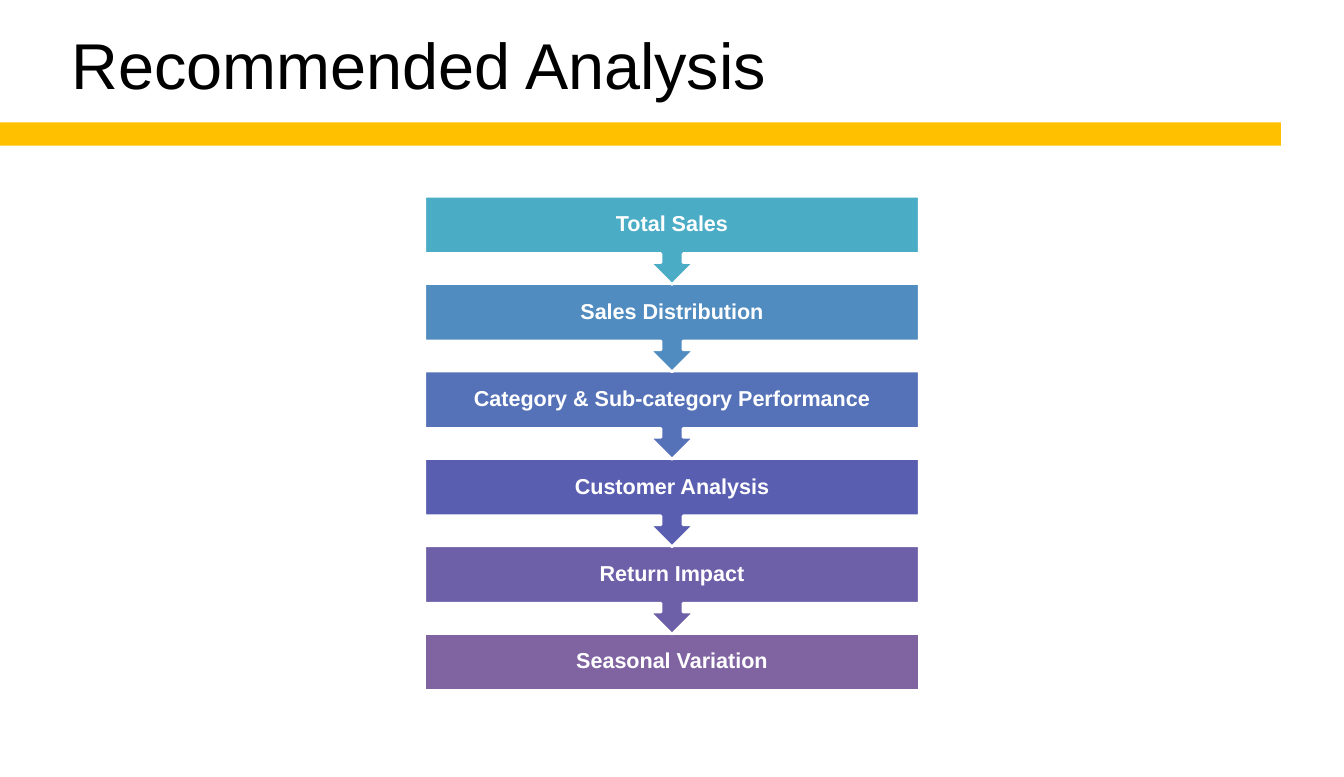
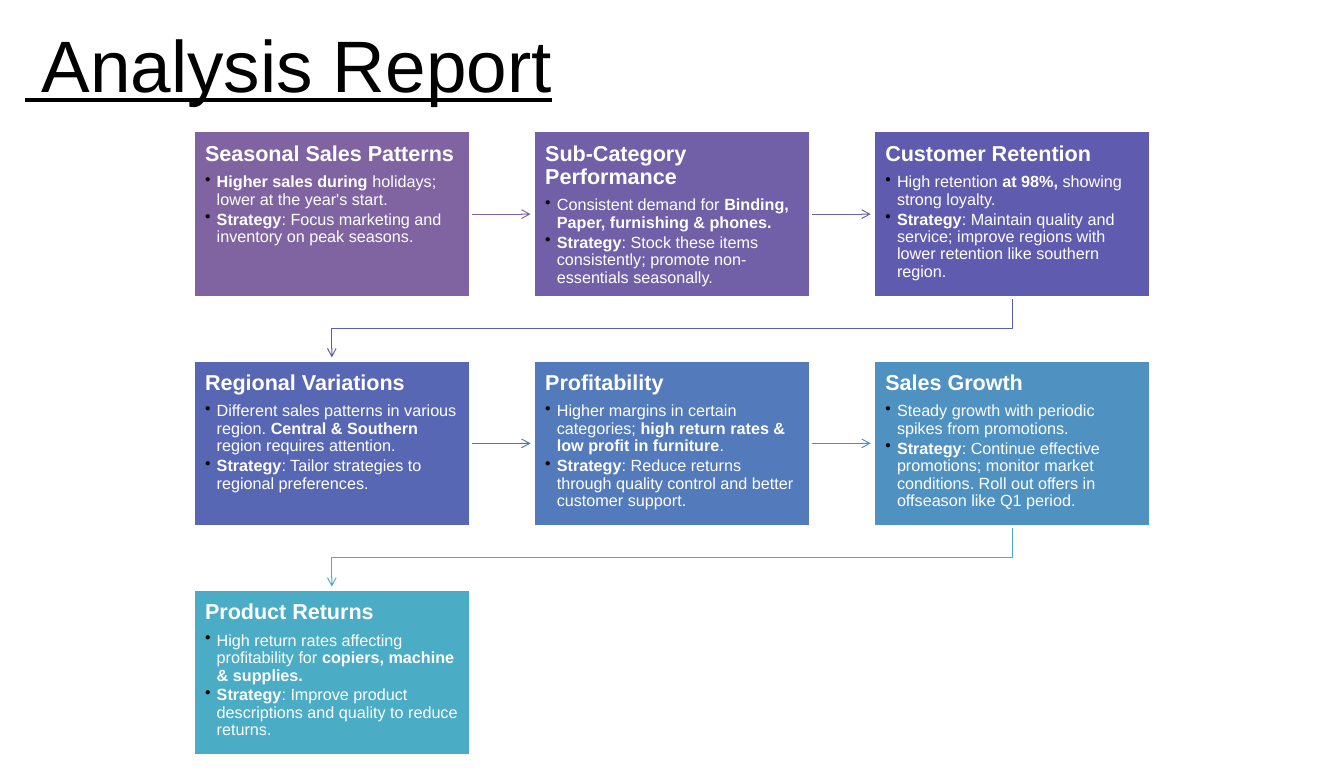
"""Build the recommended analysis and analysis report slides."""
from lxml import etree
from pptx import Presentation, util as u
from pptx.dml.color import RGBColor
from pptx.enum import shapes, text
from pptx.oxml.ns import qn

COLORS = {
    "white": "FFFFFF", "black": "000000", "band": "FFC000",
    "teal": "4BACC6", "blue": "508CBF", "royal": "5572B8",
    "indigo": "5A5EB1", "violet": "6E5FA9", "purple": "8064A2",
    "plum": "7160A8", "iris": "5F5BAE", "cobalt": "5767B4",
    "steel": "537ABA", "azure": "4F91C0",
}
FONT = "Arial"
INSET = u.Inches(0.12)
FRAME = dict(word_wrap=True, margin_left=INSET, margin_right=INSET,
             margin_top=INSET, margin_bottom=INSET)
TITLE_FRAME = dict(word_wrap=True, margin_left=0, margin_right=0,
                   margin_top=u.Inches(0.01), margin_bottom=0,
                   auto_size=text.MSO_AUTO_SIZE.SHAPE_TO_FIT_TEXT)
HEADING = dict(line_spacing=0.9, space_after=u.Pt(5.6))
BULLET = dict(level=1, line_spacing=0.9, space_after=u.Pt(1.8))

STEPS = [
    ("Total Sales", "teal"), ("Sales Distribution", "blue"),
    ("Category & Sub-category Performance", "royal"),
    ("Customer Analysis", "indigo"), ("Return Impact", "violet"),
    ("Seasonal Variation", "purple"),
]
STEP_X, STEP_Y, STEP_W, STEP_PITCH = 4.37, 2.02, 5.09, 0.9
BOX_H, CALLOUT_H = 0.59, 0.91

CARDS = [
    ("Seasonal Sales Patterns", "purple",
     "**Higher sales during **holidays; lower at the year's start.",
     "Focus marketing and inventory on peak seasons."),
    ("Sub-Category Performance", "plum",
     "Consistent demand for **Binding, Paper, furnishing & phones.**",
     "Stock these items consistently; promote non-essentials seasonally."),
    ("Customer Retention", "iris",
     "High retention **at 98%, **showing strong loyalty.",
     "Maintain quality and service; improve regions with lower retention "
     "like southern region."),
    ("Regional Variations", "cobalt",
     "Different sales patterns in various region. **Central & Southern "
     "**region requires attention.",
     "Tailor strategies to regional preferences."),
    ("Profitability", "steel",
     "Higher margins in certain categories; **high return rates & low "
     "profit in furniture**.",
     "Reduce returns through quality control and better customer support."),
    ("Sales Growth", "azure",
     "Steady growth with periodic spikes from promotions.",
     "Continue effective promotions; monitor market conditions. Roll out "
     "offers in offseason like Q1 period."),
    ("Product Returns", "teal",
     "High return rates affecting profitability for **copiers, machine & "
     "supplies.**",
     "Improve product descriptions and quality to reduce returns."),
]
LINKS = ["purple", "violet", "indigo", "royal", "blue", "teal"]
COLUMNS = 3
CARD_X, CARD_Y, CARD_W, CARD_H = 1.99, 1.35, 2.85, 1.71
COL_PITCH, ROW_PITCH, LINK = 3.5, 2.36, 0.62


def rgb(name):
    return RGBColor.from_string(COLORS[name])


def inches(*values):
    return [u.Inches(v) for v in values]


def apply(obj, values):
    for name, value in values.items():
        setattr(obj, name, value)


def add_runs(p, marked, size, color="white", **values):
    for i, part in enumerate(marked.split("**")):
        if part:
            r = p.add_run()
            r.text = part
            apply(r.font, dict(name=FONT, size=u.Pt(size), bold=i % 2 == 1, **values))
            r.font.color.rgb = rgb(color)


def add_title(s, box, title, size, **values):
    tf = s.shapes.add_textbox(*inches(*box)).text_frame
    apply(tf, TITLE_FRAME)
    add_runs(tf.paragraphs[0], title, size, "black", **values)


def add_block(s, kind, box, color, outline=True):
    sp = s.shapes.add_shape(kind, *inches(*box))
    sp.shadow.inherit = False
    sp.fill.solid()
    sp.fill.fore_color.rgb = rgb(color)
    if outline:
        sp.line.color.rgb = rgb("white")
        sp.line.width = u.Pt(2)
    else:
        sp.line.fill.background()
    return sp


def add_heading(sp, heading, align, anchor):
    tf = sp.text_frame
    apply(tf, dict(FRAME, vertical_anchor=anchor))
    p = tf.paragraphs[0]
    apply(p, dict(HEADING, alignment=align))
    add_runs(p, f"**{heading}**", 16)
    return tf


def add_bullet(tf, marked):
    p = tf.add_paragraph()
    apply(p, dict(BULLET, alignment=text.PP_ALIGN.LEFT))
    add_runs(p, marked, 12)
    pPr = p._p.get_or_add_pPr()
    pPr.set("marL", str(INSET))
    pPr.set("indent", str(-INSET))
    color = etree.SubElement(pPr, qn("a:buClr"))
    etree.SubElement(color, qn("a:srgbClr"), val=COLORS["black"])
    etree.SubElement(pPr, qn("a:buChar"), char="•")


def add_step(s, row, label, color):
    last = row == len(STEPS) - 1
    kind = shapes.MSO_SHAPE.RECTANGLE if last else shapes.MSO_SHAPE.DOWN_ARROW_CALLOUT
    box = (STEP_X, STEP_Y + row * STEP_PITCH, STEP_W, BOX_H if last else CALLOUT_H)
    sp = add_block(s, kind, box, color)
    add_heading(sp, label, text.PP_ALIGN.CENTER, text.MSO_ANCHOR.MIDDLE)


def card_corner(i):
    row, col = divmod(i, COLUMNS)
    return CARD_X + col * COL_PITCH, CARD_Y + row * ROW_PITCH


def add_card(s, i, heading, color, finding, strategy):
    sp = add_block(s, shapes.MSO_SHAPE.RECTANGLE, (*card_corner(i), CARD_W, CARD_H), color)
    tf = add_heading(sp, heading, text.PP_ALIGN.LEFT, text.MSO_ANCHOR.TOP)
    add_bullet(tf, finding)
    add_bullet(tf, f"**Strategy**: {strategy}")


def style_link(link, color):
    link.line.color.rgb = rgb(color)
    link.line.width = u.Pt(0.75)
    spPr = link._element.spPr
    etree.SubElement(spPr.find(qn("a:ln")), qn("a:tailEnd"), type="arrow")
    if spPr.find(qn("a:effectLst")) is None:
        etree.SubElement(spPr, qn("a:effectLst"))


def add_link(s, i, color):
    x, y = card_corner(i)
    if (i + 1) % COLUMNS:
        x, y = x + CARD_W, y + CARD_H / 2
        link = s.shapes.add_connector(shapes.MSO_CONNECTOR.STRAIGHT,
                                      *inches(x, y, x + LINK, y))
    else:
        x, y = x + CARD_W / 2, y + CARD_H
        end_x = CARD_X + CARD_W / 2
        bend = y + (ROW_PITCH - CARD_H) / 2
        fb = s.shapes.build_freeform(*inches(x, y))
        points = [(x, bend), (end_x, bend), (end_x, y + LINK)]
        fb.add_line_segments([inches(*point) for point in points], close=False)
        link = fb.convert_to_shape()
        link.fill.background()
        link.shadow.inherit = False
    style_link(link, color)


def add_analysis_slide(s):
    add_title(s, (0.55, 0.25, 8.19, 0.83), " Recommended Analysis", 48)
    add_block(s, shapes.MSO_SHAPE.RECTANGLE, (0, 1.26, 13.18, 0.24), "band", outline=False)
    for row, step in reversed(list(enumerate(STEPS))):
        add_step(s, row, *step)


def add_report_slide(s):
    add_title(s, (0.26, 0.19, 6.88, 0.93), " Analysis Report", 54, underline=True)
    for i, color in enumerate(LINKS):
        add_link(s, i, color)
    for i, card in enumerate(CARDS):
        add_card(s, i, *card)


def main():
    prs = Presentation()
    prs.slide_width, prs.slide_height = inches(13.83, 8)
    for build in (add_analysis_slide, add_report_slide):
        build(prs.slides.add_slide(prs.slide_layouts[6]))
    prs.save("out.pptx")


if __name__ == "__main__":
    main()
